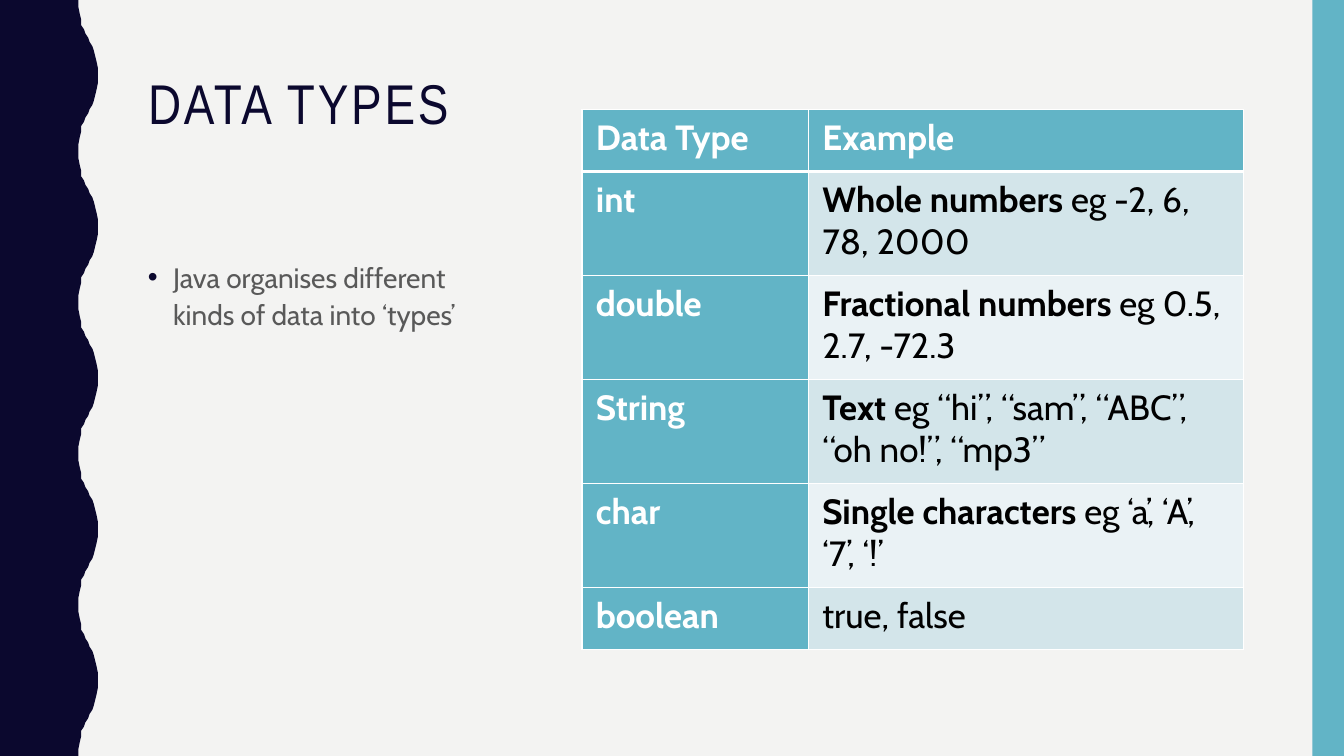
from dataclasses import dataclass

from lxml.etree import SubElement
from pptx import Presentation
from pptx.dml.color import RGBColor
from pptx.enum.shapes import MSO_SHAPE
from pptx.enum.text import MSO_ANCHOR, MSO_AUTO_SIZE
from pptx.oxml.ns import qn
from pptx.util import Pt

COLORS = {
    "navy": "0B082E",
    "teal": "62B4C6",
    "paper": "F3F3F2",
    "grey": "595959",
    "black": "000000",
    "white": "FFFFFF",
    "odd": "D3E5EA",
    "even": "EAF2F5",
}
WIDTH, HEIGHT = 960, 540
LEFT, SPAN = 98.6, 266.4
PERIOD = 108
# Half a wave, from trough to crest
CURVE = [
    (56.2, 0), (56.5, 5), (57, 10), (57.6, 14.4), (58.5, 18),
    (59.8, 21), (61.2, 24), (62.6, 27), (64.1, 30), (65.5, 33),
    (67, 36), (68.3, 39.6), (69.2, 44), (69.8, 49), (70, 54),
]


@dataclass
class Row:
    kind: str
    lead: str
    rest: str
    height: float = 74.3


ROWS = [
    Row("Data Type", "Example", "", 44),
    Row("int", "Whole numbers ", "eg -2, 6, 78, 2000"),
    Row("double", "Fractional numbers ", "eg 0.5, 2.7, -72.3"),
    Row("String", "Text ", "eg “hi”, “sam”, “ABC”, “oh no!”, “mp3”"),
    Row("char", "Single characters ", "eg ‘a’, ‘A’, ‘7’, ‘!’"),
    Row("boolean", "", "true, false", 44),
]


def rgb(name: str) -> RGBColor:
    return RGBColor.from_string(COLORS[name])


def paint(shape, color: str) -> None:
    shape.shadow.inherit = False
    shape.fill.solid()
    shape.fill.fore_color.rgb = rgb(color)
    shape.line.fill.background()


def style(run, font: str, size: float, color: str, bold: bool = False) -> None:
    run.font.name = font
    run.font.size = Pt(size)
    run.font.color.rgb = rgb(color)
    run.font.bold = bold


def draw_wave(slide) -> None:
    """Fill the left edge up to a wave that repeats every PERIOD."""
    cycle = CURVE + [(x, PERIOD - y) for x, y in CURVE[-2::-1]]
    edge = [(x, y + top) for top in range(0, HEIGHT, PERIOD) for x, y in cycle]
    points = [(x, y) for x, y in edge] + [(0, HEIGHT)]
    form = slide.shapes.build_freeform(0, 0, scale=Pt(1))
    form.add_line_segments(points, close=True)
    paint(form.convert_to_shape(), "navy")


def add_title(slide) -> None:
    title = slide.shapes.title
    title.left, title.top = Pt(LEFT), Pt(51)
    title.width, title.height = Pt(SPAN), Pt(129)
    frame = title.text_frame
    frame.text = "DATA TYPES"
    frame.word_wrap = True
    frame.auto_size = MSO_AUTO_SIZE.NONE
    frame.vertical_anchor = MSO_ANCHOR.TOP
    para = frame.paragraphs[0]
    para.line_spacing = 0.9
    # Left alignment and letter spacing
    para._p.get_or_add_pPr().set("algn", "l")
    run = para.runs[0]
    style(run, "Arial Narrow", 40, "navy")
    run.font._element.set("spc", "200")


def add_body(slide) -> None:
    box = slide.shapes.add_textbox(Pt(LEFT), Pt(180), Pt(SPAN), Pt(310))
    frame = box.text_frame
    frame.word_wrap = True
    para = frame.paragraphs[0]
    para.text = "Java organises different kinds of data into ‘types’"
    para.line_spacing = 1.1
    para.space_before = Pt(7)
    style(para.runs[0], "Cabin", 20, "grey")
    props = para._p.get_or_add_pPr()
    props.set("marL", str(Pt(18)))
    props.set("indent", str(-Pt(18)))
    tint = SubElement(props, qn("a:buClr"))
    SubElement(tint, qn("a:srgbClr"), val=COLORS["navy"])
    SubElement(props, qn("a:buFont"), typeface="Arial")
    SubElement(props, qn("a:buChar"), char="•")


def add_border(cell, side: str, width: float) -> None:
    props = cell._tc.get_or_add_tcPr()
    line = SubElement(props, qn(f"a:ln{side}"), w=str(Pt(width)))
    fill = SubElement(line, qn("a:solidFill"))
    SubElement(fill, qn("a:srgbClr"), val=COLORS["white"])


def fill_cell(cell, parts: list[tuple[str, bool]], ink: str, back: str,
              widths: dict[str, float]) -> None:
    """Write (text, bold) parts into a cell with borders of the given widths."""
    cell.margin_left = cell.margin_right = Pt(10)
    cell.margin_top = cell.margin_bottom = Pt(5)
    for side, width in widths.items():
        add_border(cell, side, width)
    cell.fill.solid()
    cell.fill.fore_color.rgb = rgb(back)
    para = cell.text_frame.paragraphs[0]
    for text, bold in parts:
        if text:
            run = para.add_run()
            run.text = text
            style(run, "Cabin", 25, ink, bold)


def add_types(slide) -> None:
    total = sum(row.height for row in ROWS)
    frame = slide.shapes.add_table(
        len(ROWS), 2, Pt(415.7), Pt(78.5), Pt(472.3), Pt(total))
    table = frame.table
    table.columns[0].width, table.columns[1].width = Pt(161.8), Pt(310.5)
    for index, row in enumerate(ROWS):
        table.rows[index].height = Pt(row.height)
        head = index == 0
        widths = {"L": 1, "R": 1, "T": 3 if index == 1 else 1,
                  "B": 3 if head else 1}
        band = "teal" if head else "odd" if index % 2 else "even"
        ink = "white" if head else "black"
        fill_cell(table.cell(index, 0), [(row.kind, True)],
                  "white", "teal", widths)
        fill_cell(table.cell(index, 1), [(row.lead, True), (row.rest, False)],
                  ink, band, widths)


def main() -> None:
    deck = Presentation()
    deck.slide_width, deck.slide_height = Pt(WIDTH), Pt(HEIGHT)
    slide = deck.slides.add_slide(deck.slide_layouts[5])
    slide.background.fill.solid()
    slide.background.fill.fore_color.rgb = rgb("paper")
    draw_wave(slide)
    bar = slide.shapes.add_shape(
        MSO_SHAPE.RECTANGLE, Pt(937.5), 0, Pt(22.5), Pt(HEIGHT))
    paint(bar, "teal")
    add_title(slide)
    add_body(slide)
    add_types(slide)
    deck.save("out.pptx")


if __name__ == "__main__":
    main()
